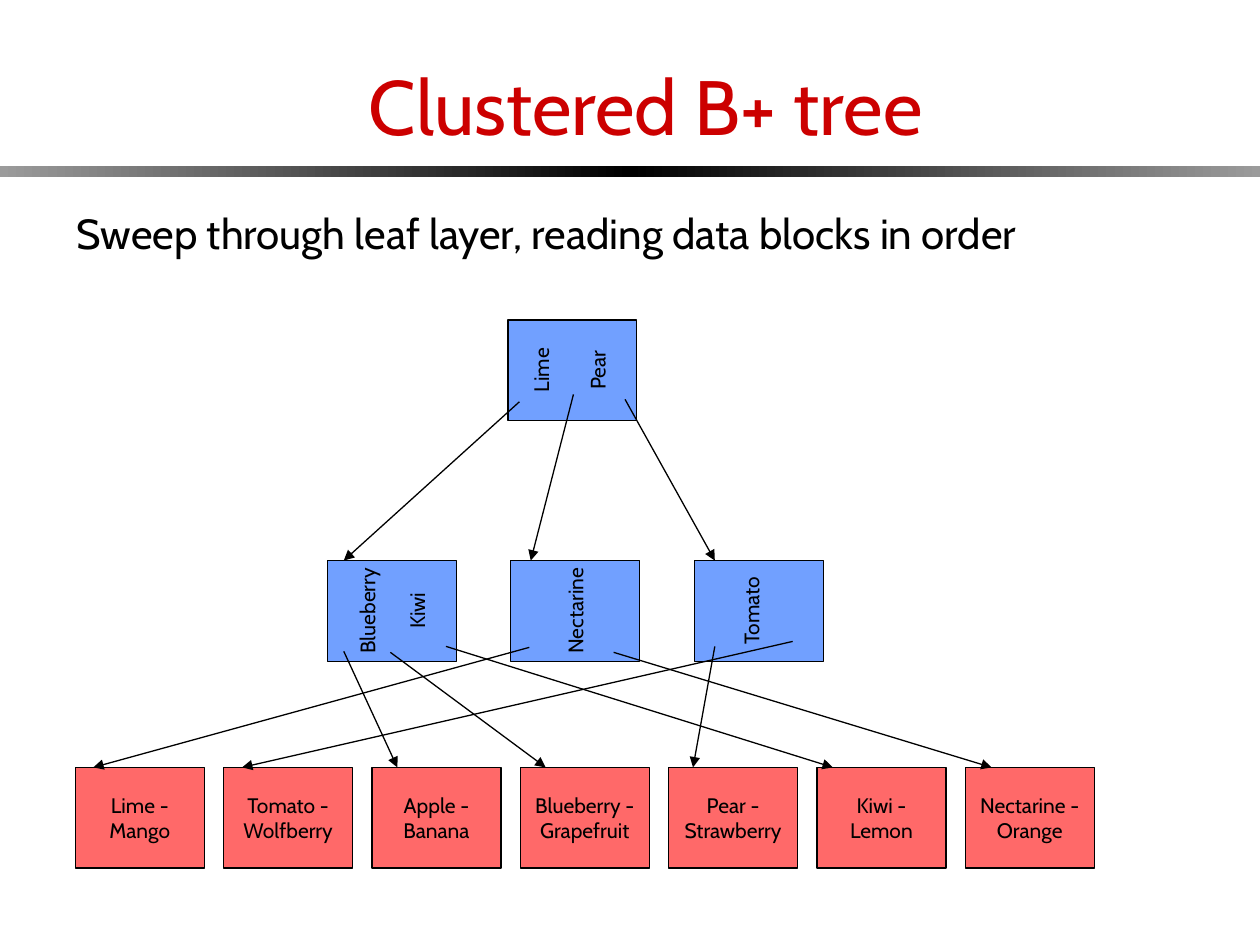
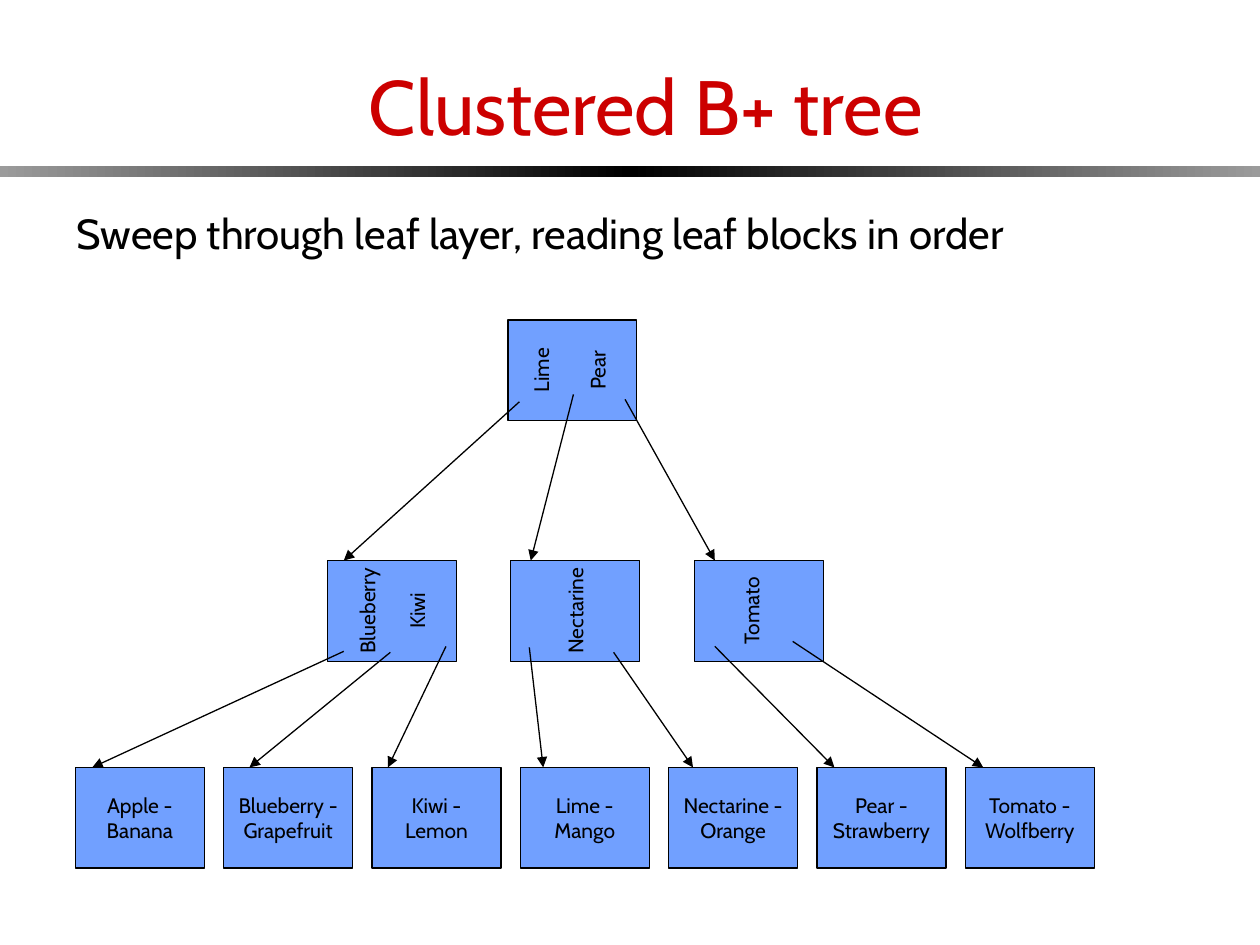
from dataclasses import dataclass

from lxml.etree import SubElement
from pptx import Presentation
from pptx.dml.color import RGBColor
from pptx.enum.shapes import MSO_CONNECTOR as Connector, MSO_SHAPE as Shape
from pptx.enum.text import MSO_ANCHOR as Anchor, MSO_AUTO_SIZE as AutoSize, PP_ALIGN as Align
from pptx.oxml.ns import qn
from pptx.util import Cm, Pt

# Content: each leaf is (range of keys, how far from its left side the arrow lands, in cm).
TITLE = "Clustered B+ tree"
SLIDES = [
    {
        "statement": "Sweep through leaf layer, reading data blocks in order",
        "leaf_fill": "data",
        "leaves": [
            ("Lime - Mango", 0.36),
            ("Tomato - Wolfberry", 0.37),
            ("Apple - Banana", 0.51),
            ("Blueberry - Grapefruit", 0.51),
            ("Pear - Strawberry", 0.49),
            ("Kiwi - Lemon", 0.32),
            ("Nectarine - Orange", 0.53),
        ],
    },
    {
        "statement": "Sweep through leaf layer, reading leaf blocks in order",
        "leaf_fill": "index",
        "leaves": [
            ("Apple - Banana", 0.34),
            ("Blueberry - Grapefruit", 0.52),
            ("Kiwi - Lemon", 0.32),
            ("Lime - Mango", 0.46),
            ("Nectarine - Orange", 0.49),
            ("Pear - Strawberry", 0.35),
            ("Tomato - Wolfberry", 0.36),
        ],
    },
]

# Keys are (text, centre from the node's left); pointers are (x, y) from its corner; all in cm.
ROOT = {
    "left": 10.24,
    "keys": [("Lime", 0.66), ("Pear", 1.8)],
    "pointers": [(0.23, 1.65), (1.32, 1.5), (2.36, 1.6)],
}
BRANCHES = [
    {
        "left": 6.6,
        "landing": 0.33,
        "keys": [("Blueberry", 0.8), ("Kiwi", 1.8)],
        "pointers": [(0.33, 1.83), (1.27, 1.85), (2.39, 1.73)],
    },
    {
        "left": 10.29,
        "landing": 0.41,
        "keys": [("Nectarine", 1.3)],
        "pointers": [(0.38, 1.75), (2.08, 1.85)],
    },
    {
        "left": 14,
        "landing": 0.41,
        "keys": [("Tomato", 1.14)],
        "pointers": [(0.41, 1.73), (1.98, 1.63)],
    },
]

# Geometry in cm
SLIDE_WIDTH, SLIDE_HEIGHT = 25.4, 19.05
BAND_TOP, BAND_HEIGHT = 3.35, 0.23
TITLE_BOX = (1.4, 0, 23.24, 3.18)
STATEMENT_BOX = (1.3, 4.06, 22.1, 1.27)
BLOCK_WIDTH, BLOCK_HEIGHT = 2.6, 2.03
ROOT_TOP, BRANCH_TOP, LEAF_TOP = 6.45, 11.3, 15.47
LEAF_LEFT, LEAF_STEP = 1.52, 2.99
KEY_WIDTH, KEY_HEIGHT, KEY_MIDDLE = 2.64, 0.76, 1.01


@dataclass(frozen=True)
class Theme:
    font: str = "Cabin"
    title: RGBColor = RGBColor(0xCC, 0x00, 0x00)
    ink: RGBColor = RGBColor(0x00, 0x00, 0x00)
    band_edge: RGBColor = RGBColor(0x9B, 0x9B, 0x9B)
    index: RGBColor = RGBColor(0x71, 0xA0, 0xFF)
    data: RGBColor = RGBColor(0xFF, 0x69, 0x69)
    title_size: Pt = Pt(44)
    statement_size: Pt = Pt(24)
    label_size: Pt = Pt(12)
    line_width: Pt = Pt(0.75)


THEME = Theme()


def set_all(target, **values):
    for name, value in values.items():
        setattr(target, name, value)


def write(shape, text, size, color=THEME.ink, align=Align.CENTER, anchor=Anchor.MIDDLE,
          side_margin=0.25):
    frame = shape.text_frame
    frame.text = text
    set_all(frame, word_wrap=True, auto_size=AutoSize.NONE, vertical_anchor=anchor,
            margin_left=Cm(side_margin), margin_right=Cm(side_margin),
            margin_top=Cm(0.13), margin_bottom=Cm(0.13))
    paragraph = frame.paragraphs[0]
    set_all(paragraph, alignment=align, space_before=Pt(0))
    set_all(paragraph.runs[0].font, name=THEME.font, size=size)
    paragraph.runs[0].font.color.rgb = color
    return paragraph


def place(shape, box):
    set_all(shape, **dict(zip(("left", "top", "width", "height"), map(Cm, box))))


def add_rectangle(slide, left, top, width, height):
    shape = slide.shapes.add_shape(Shape.RECTANGLE, *map(Cm, (left, top, width, height)))
    shape.shadow.inherit = False
    return shape


def add_band(slide):
    """Two mirrored gradients, darkest where they meet."""
    half = SLIDE_WIDTH / 2
    shades = (THEME.band_edge, THEME.ink)
    for left, colors in ((0, shades), (half, shades[::-1])):
        shape = add_rectangle(slide, left, BAND_TOP, half, BAND_HEIGHT)
        shape.line.fill.background()
        shape.fill.gradient()
        shape.fill.gradient_angle = 0
        for stop, color in zip(shape.fill.gradient_stops, colors):
            stop.color.rgb = color


def add_heading(slide, statement):
    add_band(slide)
    title, body = slide.placeholders
    place(title, TITLE_BOX)
    write(title, TITLE, THEME.title_size, THEME.title, anchor=Anchor.BOTTOM)
    place(body, STATEMENT_BOX)
    paragraph = write(body, statement, THEME.statement_size, align=Align.LEFT, anchor=Anchor.TOP)
    properties = paragraph._p.get_or_add_pPr()
    properties.set("marL", "0")
    properties.set("indent", "0")
    SubElement(properties, qn("a:buNone"))


def add_block(slide, left, top, fill):
    shape = add_rectangle(slide, left, top, BLOCK_WIDTH, BLOCK_HEIGHT)
    shape.fill.solid()
    shape.fill.fore_color.rgb = fill
    shape.line.color.rgb = THEME.ink
    shape.line.width = THEME.line_width
    return shape


def add_node(slide, node, top):
    add_block(slide, node["left"], top, THEME.index)
    for text, centre in node["keys"]:
        left = node["left"] + centre - KEY_WIDTH / 2
        label_top = top + KEY_MIDDLE - KEY_HEIGHT / 2
        label = slide.shapes.add_textbox(*map(Cm, (left, label_top, KEY_WIDTH, KEY_HEIGHT)))
        label.rotation = 270
        write(label, text, THEME.label_size)


def add_arrow(slide, start, end):
    arrow = slide.shapes.add_connector(Connector.STRAIGHT, *map(Cm, (*start, *end)))
    arrow.line.color.rgb = THEME.ink
    arrow.line.width = THEME.line_width
    SubElement(arrow.line._get_or_add_ln(), qn("a:tailEnd"), type="triangle")
    SubElement(arrow._element.spPr, qn("a:effectLst"))


def pointer_starts(node, top):
    return [(node["left"] + x, top + y) for x, y in node["pointers"]]


def add_tree(slide, leaves, leaf_fill):
    landings = {}
    for index, (text, landing) in enumerate(leaves):
        left = LEAF_LEFT + index * LEAF_STEP
        leaf = add_block(slide, left, LEAF_TOP, leaf_fill)
        write(leaf, text, THEME.label_size, side_margin=0.2)
        landings[text] = (left + landing, LEAF_TOP)

    add_node(slide, ROOT, ROOT_TOP)
    for branch in BRANCHES:
        add_node(slide, branch, BRANCH_TOP)

    # Branch pointers, read left to right, reach the leaves in key order.
    starts = [start for branch in BRANCHES for start in pointer_starts(branch, BRANCH_TOP)]
    ends = [landings[text] for text in sorted(landings)]
    starts += pointer_starts(ROOT, ROOT_TOP)
    ends += [(branch["left"] + branch["landing"], BRANCH_TOP) for branch in BRANCHES]
    for start, end in zip(starts, ends):
        add_arrow(slide, start, end)


def main():
    presentation = Presentation()
    set_all(presentation, slide_width=Cm(SLIDE_WIDTH), slide_height=Cm(SLIDE_HEIGHT))
    for content in SLIDES:
        slide = presentation.slides.add_slide(presentation.slide_layouts[1])
        add_heading(slide, content["statement"])
        add_tree(slide, content["leaves"], getattr(THEME, content["leaf_fill"]))
    presentation.save("out.pptx")


if __name__ == "__main__":
    main()
